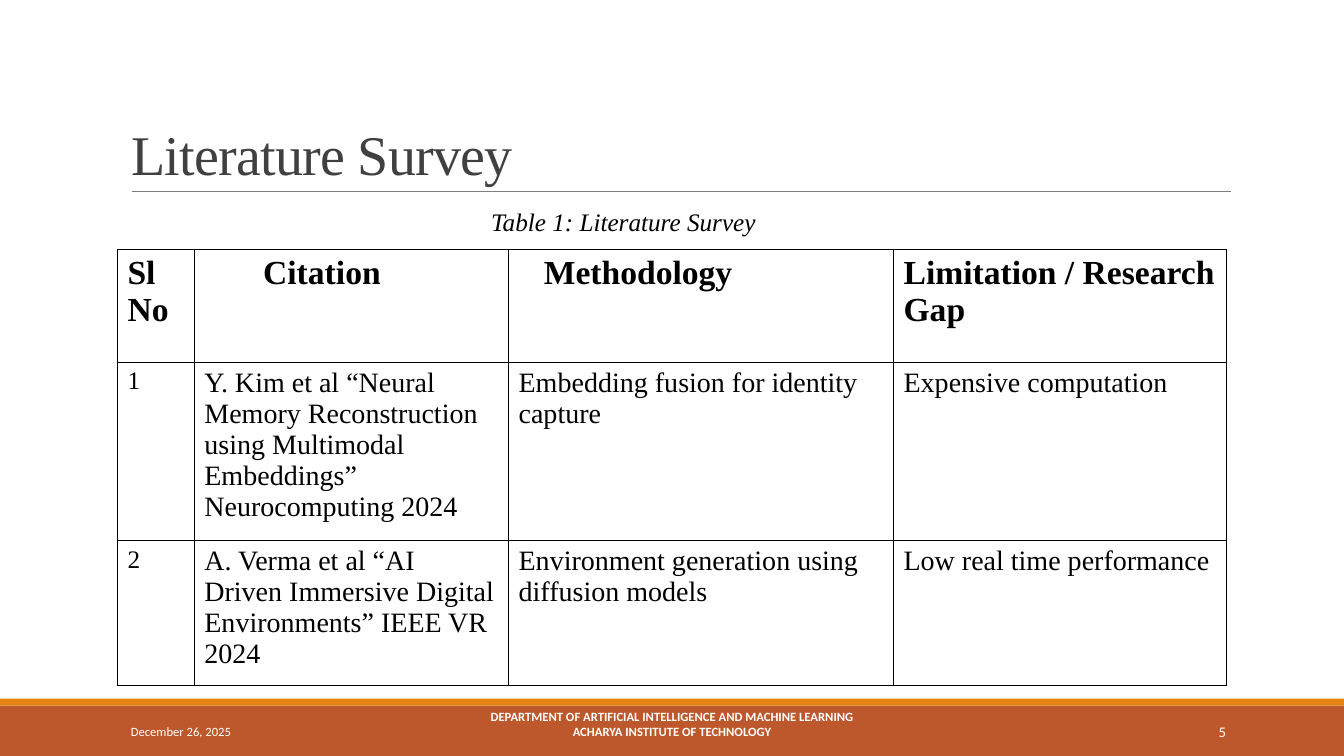
from dataclasses import dataclass

import lxml.etree
import pptx
import pptx.dml.color
import pptx.enum.shapes
import pptx.enum.text
import pptx.oxml
import pptx.oxml.ns
import pptx.util

Pt = pptx.util.Pt
RGB = pptx.dml.color.RGBColor.from_string
ALIGN = pptx.enum.text.PP_ALIGN
ANCHOR = pptx.enum.text.MSO_ANCHOR
qn = pptx.oxml.ns.qn


@dataclass(frozen=True)
class Theme:
    serif: str = "Times New Roman"
    sans: str = "Calibri"
    rust: str = "BD582C"
    orange: str = "E48312"
    rule: str = "808080"
    heading: str = "404040"
    ink: str = "000000"
    white: str = "FFFFFF"
    title_size: float = 40
    header_size: float = 24
    body_size: float = 20
    small_size: float = 18
    number_size: float = 10.5
    footer_size: float = 9


theme = Theme()


def style(paragraph, face, size, color, bold=False, italic=False):
    font = paragraph.font
    font.name, font.size, font.bold, font.italic = face, Pt(size), bold, italic
    font.color.rgb = RGB(color)


def add_label(left, top, width, height, lines, align):
    """Add a wrapped, vertically centred text box and return its text frame."""
    frame = slide.shapes.add_textbox(Pt(left), Pt(top), Pt(width), Pt(height)).text_frame
    frame.word_wrap = True
    frame.vertical_anchor = ANCHOR.MIDDLE
    frame.text = "\n".join(lines)
    for paragraph in frame.paragraphs:
        paragraph.alignment = align
    return frame


deck = pptx.Presentation()
deck.slide_width, deck.slide_height = Pt(960), Pt(540)
slide = deck.slides.add_slide(deck.slide_layouts[5])

# Footer bands and title rule
for top, height, color in ((504, 36, theme.rust), (499, 5, theme.orange)):
    band = slide.shapes.add_shape(
        pptx.enum.shapes.MSO_SHAPE.RECTANGLE, 0, Pt(top), Pt(960), Pt(height))
    band.shadow.inherit = False
    band.fill.solid()
    band.fill.fore_color.rgb = RGB(color)
    band.line.fill.background()

title_rule = slide.shapes.add_connector(
    pptx.enum.shapes.MSO_CONNECTOR.STRAIGHT, Pt(94.3), Pt(136.8), Pt(879), Pt(136.8))
title_rule.line.color.rgb = RGB(theme.rule)
title_rule.line.width = Pt(0.5)
lxml.etree.SubElement(title_rule._element.spPr, qn("a:effectLst"))

# Title
title = slide.shapes.title
title.left, title.top, title.width, title.height = Pt(86.4), Pt(22.3), Pt(792), Pt(114.5)
title.text_frame.text = "Literature Survey"
title.text_frame.vertical_anchor = ANCHOR.BOTTOM
title.text_frame.auto_size = pptx.enum.text.MSO_AUTO_SIZE.NONE
heading = title.text_frame.paragraphs[0]
heading.alignment = ALIGN.LEFT
heading.line_spacing = 0.85
style(heading, theme.serif, theme.title_size, theme.heading)
heading.runs[0].font._element.set("spc", "-50")

# Footer texts
department = ["DEPARTMENT OF ARTIFICIAL INTELLIGENCE AND MACHINE LEARNING",
              "ACHARYA INSTITUTE OF TECHNOLOGY"]
footers = (
    (86.4, 194.4, ["December 26, 2025"], ALIGN.LEFT, theme.footer_size, False, 3.6),
    (290.2, 379.4, department, ALIGN.CENTER, theme.footer_size, True, 14.6),
    (779.8, 103, ["5"], ALIGN.RIGHT, theme.number_size, False, 3.6),
)
for left, width, lines, align, size, bold, bottom_margin in footers:
    footer = add_label(left, 508.3, width, 28.8, lines, align)
    footer.margin_bottom = Pt(bottom_margin)
    for paragraph in footer.paragraphs:
        style(paragraph, theme.sans, size, theme.white, bold)

# Survey table
survey_rows = (
    ("Sl No", "Citation", "Methodology", "Limitation / Research Gap"),
    ("1",
     "Y. Kim et al “Neural Memory Reconstruction using Multimodal Embeddings” Neurocomputing 2024",
     "Embedding fusion for identity capture", "Expensive computation"),
    ("2",
     "A. Verma et al “AI Driven Immersive Digital Environments” IEEE VR 2024",
     "Environment generation using diffusion models", "Low real time performance"),
)
column_widths = (54.9, 224.5, 275, 237.8)
row_heights = (80.7, 117.9, 96.4)
header_indents = (0, 42, 18, 0)

survey = slide.shapes.add_table(
    3, 4, Pt(83.9), Pt(178.2), Pt(sum(column_widths)), Pt(sum(row_heights))).table
survey.first_row = survey.horz_banding = False
for column, width in zip(survey.columns, column_widths):
    column.width = Pt(width)

for r, (row, texts) in enumerate(zip(survey.rows, survey_rows)):
    row.height = Pt(row_heights[r])
    for c, (cell, text) in enumerate(zip(row.cells, texts)):
        is_header = r == 0
        if is_header:
            size = theme.header_size
            cell.margin_left = Pt(7.2 + header_indents[c])
        else:
            size = theme.small_size if c == 0 else theme.body_size
        cell.text = text
        style(cell.text_frame.paragraphs[0], theme.serif, size, theme.ink, is_header)
        cell.fill.background()
        cell_properties = cell._tc.get_or_add_tcPr()
        for position, side in enumerate("LRTB"):
            cell_properties.insert(position, pptx.oxml.parse_xml(
                f'<a:ln{side} {pptx.oxml.ns.nsdecls("a")} w="12700"><a:solidFill>'
                f'<a:srgbClr val="{theme.ink}"/></a:solidFill></a:ln{side}>'))

# Table caption
caption = add_label(220.3, 144, 450, 28.8, ["Table 1: Literature Survey"], ALIGN.CENTER)
style(caption.paragraphs[0], theme.serif, theme.small_size, theme.ink, italic=True)

deck.save("out.pptx")
